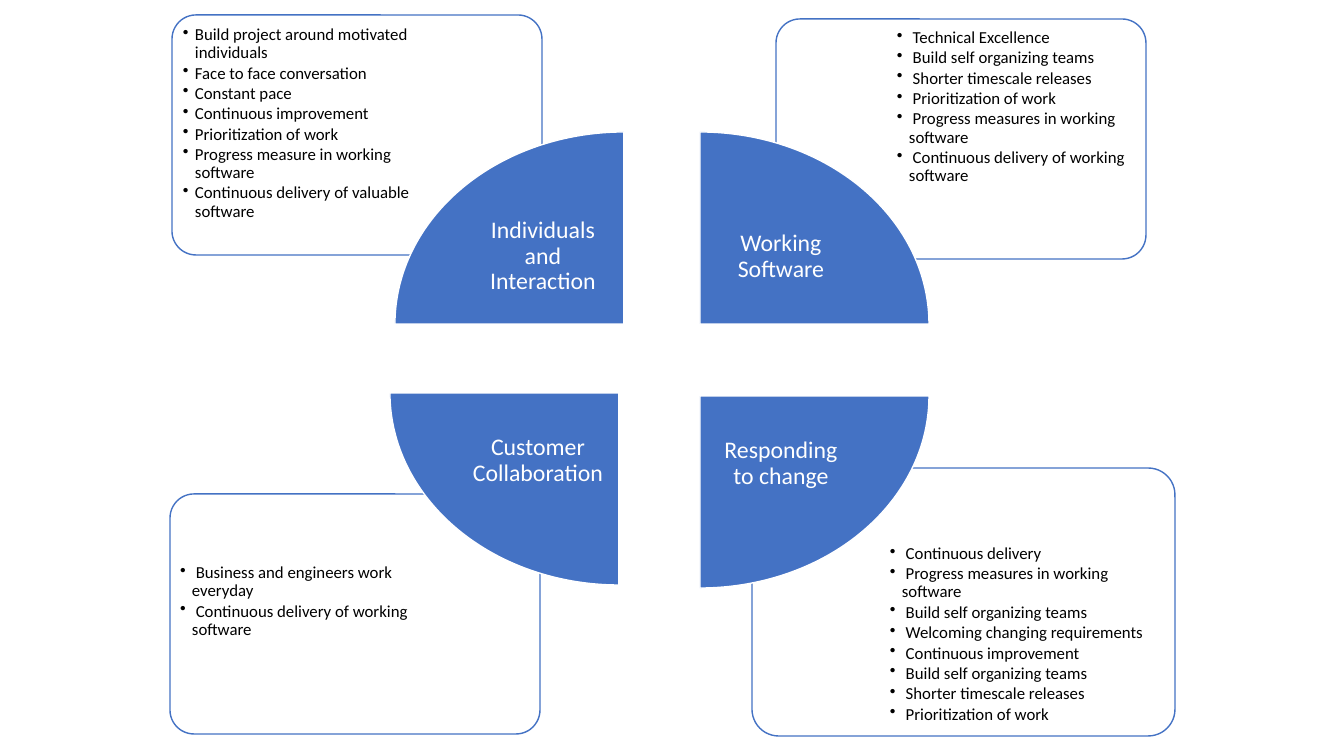
from lxml import etree
from pptx import Presentation
from pptx import util as u
from pptx.dml.color import RGBColor
from pptx.enum import shapes, text
from pptx.oxml.ns import qn

EMU_PER_PX = 914400 / 100.8
BLUE, WHITE, BLACK = "4472C4", "FFFFFF", "000000"
WEDGE_W, WEDGE_H = 229, 192
LABEL_W, LABEL_H = 162, 135

NOTES = [
    ((752, 468, 423, 268), (885, 540, 284, 190), " ",
     ["Continuous delivery", "Progress measures in working software",
      "Build self organizing teams", "Welcoming changing requirements",
      "Continuous improvement", "Build self organizing teams",
      "Shorter timescale releases", "Prioritization of work"]),
    ((170, 494, 370, 240), (175, 559, 248, 169), " ",
     ["Business and engineers work everyday",
      "Continuous delivery of working software"]),
    ((776, 19, 370, 240), (892, 24, 248, 169), " ",
     ["Technical Excellence", "Build self organizing teams",
      "Shorter timescale releases", "Prioritization of work",
      "Progress measures in working software",
      "Continuous delivery of working software"]),
    ((172, 15, 370, 240), (178, 21, 248, 169), "",
     ["Build project around motivated individuals",
      "Face to face conversation", "Constant pace",
      "Continuous improvement", "Prioritization of work",
      "Progress measure in working software",
      "Continuous delivery of valuable software"]),
]

WEDGES = [
    (395, 132, 0, "Individuals and Interaction"),
    (700, 132, 90, "Working Software"),
    (700, 396, 180, "Responding to change"),
    (390, 393, 270, "Customer Collaboration"),
]


def px(n):
    return u.Emu(round(n * EMU_PER_PX))


def color(value):
    return RGBColor.from_string(value)


def set_attrs(obj, values):
    for name, value in values.items():
        setattr(obj, name, value)


def add_shape(slide, kind, rect, fill, line):
    sp = slide.shapes.add_shape(kind, *map(px, rect))
    sp.shadow.inherit = False
    sp.fill.solid()
    sp.fill.fore_color.rgb = color(fill)
    sp.line.color.rgb = color(line)
    sp.line.width = u.Pt(1)
    return sp


def add_text(slide, rect, lines, inset, frame, para, font, rgb):
    tf = slide.shapes.add_textbox(*map(px, rect)).text_frame
    margins = {f"margin_{side}": px(inset)
               for side in ("left", "top", "right", "bottom")}
    set_attrs(tf, {"word_wrap": True, **margins, **frame})
    for i, line in enumerate(lines):
        p = tf.add_paragraph() if i else tf.paragraphs[0]
        set_attrs(p, {"line_spacing": 0.9, **para})
        r = p.add_run()
        r.text = line
        set_attrs(r.font, {"name": "Calibri", **font})
        r.font.color.rgb = color(rgb)
    return tf


def add_bullet(p):
    pPr = p._p.get_or_add_pPr()
    pPr.set("marL", str(px(12)))
    pPr.set("indent", str(-px(12)))
    etree.SubElement(pPr, qn("a:buChar")).set("char", "•")


def add_note(slide, box, area, lead, items):
    sp = add_shape(slide, shapes.MSO_SHAPE.ROUNDED_RECTANGLE, box, WHITE, BLUE)
    sp.adjustments[0] = 0.1
    fill = sp._element.spPr.find(qn("a:solidFill"))
    etree.SubElement(fill[0], qn("a:alpha")).set("val", "90000")
    tf = add_text(slide, area, [lead + item for item in items], 5,
                  {"vertical_anchor": text.MSO_ANCHOR.TOP},
                  {"level": 1, "space_after": u.Pt(1.6)},
                  {"size": u.Pt(12)}, BLACK)
    for p in tf.paragraphs:
        add_bullet(p)


def add_wedge(slide, left, top, rotation, label):
    w, h = (WEDGE_H, WEDGE_W) if rotation % 180 else (WEDGE_W, WEDGE_H)
    rect = (left + (WEDGE_W - w) / 2, top + (WEDGE_H - h) / 2, w, h)
    sp = add_shape(slide, shapes.MSO_SHAPE.PIE_WEDGE, rect, BLUE, WHITE)
    sp.rotation = rotation
    x = left + (WEDGE_W - LABEL_W if rotation in (0, 270) else 0)
    y = top + (WEDGE_H - LABEL_H if rotation in (0, 90) else 0)
    add_text(slide, (x, y, LABEL_W, LABEL_H), [label], 13,
             {"vertical_anchor": text.MSO_ANCHOR.MIDDLE},
             {"alignment": text.PP_ALIGN.CENTER},
             {"size": u.Pt(17)}, WHITE)


def main():
    prs = Presentation()
    set_attrs(prs, {"slide_width": px(1344), "slide_height": px(756)})
    slide = prs.slides.add_slide(prs.slide_layouts[6])
    for note in NOTES:
        add_note(slide, *note)
    for wedge in WEDGES:
        add_wedge(slide, *wedge)
    prs.save("out.pptx")


main()
